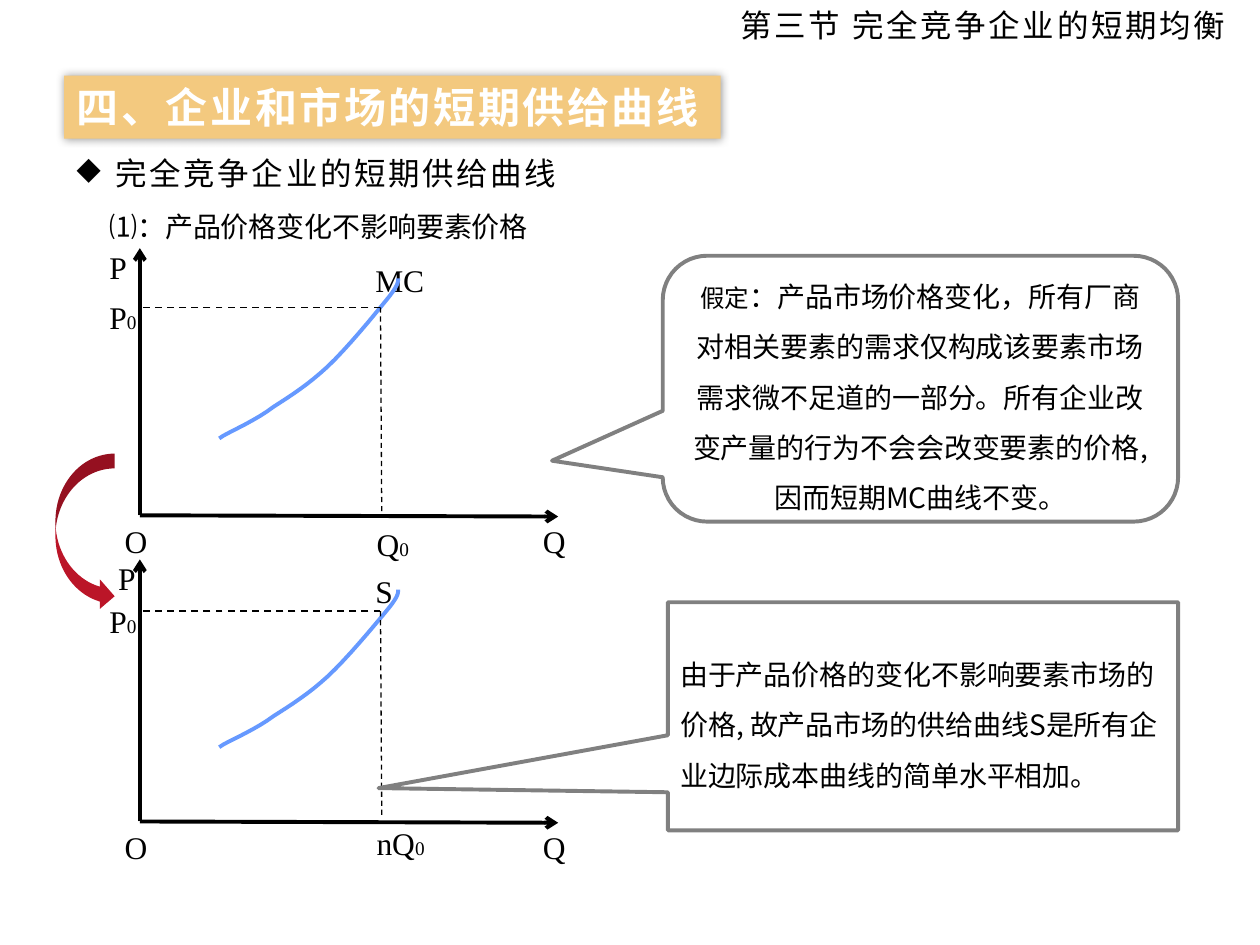
from dataclasses import dataclass

import pptx
from lxml import etree
from pptx.dml.color import RGBColor
from pptx.enum.dml import MSO_LINE
from pptx.enum.shapes import MSO_CONNECTOR, MSO_SHAPE
from pptx.enum.text import MSO_ANCHOR, MSO_AUTO_SIZE, PP_ALIGN
from pptx.oxml.ns import qn
from pptx.util import Inches, Pt

BLACK = RGBColor(0x00, 0x00, 0x00)
WHITE = RGBColor(0xFF, 0xFF, 0xFF)
GOLD = RGBColor(0xF3, 0xC9, 0x7F)
BLUE = RGBColor(0x66, 0x99, 0xFF)
GRAY = RGBColor(0x80, 0x80, 0x80)
RED = RGBColor(0xBB, 0x15, 0x28)
CHINESE = "Noto Sans CJK SC"
LATIN = "Times New Roman"

AXIS_X, AXIS_END, QUANTITY_X = 1.11, 4.43, 3.02
CURVE_HEIGHT = 1.27
# Cubic Bézier points of the supply curve, y measured down from its top end
CURVE = [(1.77, 1.25),
         (1.84, 1.21), (2.04, 1.12), (2.17, 1.02),
         (2.31, 0.93), (2.45, 0.84), (2.60, 0.70),
         (2.75, 0.56), (2.97, 0.29), (3.06, 0.18),
         (3.16, 0.06), (3.16, 0.03), (3.16, 0.00)]
CURVE_STEPS = 8


@dataclass
class Diagram:
    curve_label: str
    quantity_label: str
    quantity_box: tuple[float, float, float, float]
    price_axis_label_x: float
    axis_top: float
    origin_y: float
    price_y: float
    guide_bottom: float
    curve_bottom: float


DIAGRAMS = [
    Diagram("MC", "Q", (2.89, 4.12, 0.48, 0.3), 0.77, 1.97, 4.09, 2.44, 4.11, 3.48),
    Diagram("S", "nQ", (2.89, 6.49, 0.8, 0.4), 0.84, 4.44, 6.52, 4.85, 6.49, 5.93),
]


def style_font(font, size: float, name: str, color: RGBColor = BLACK,
               spacing: float = 0) -> None:
    font.size = Pt(size)
    font.name = name
    font.color.rgb = color
    properties = font._rPr
    etree.SubElement(properties, qn("a:ea")).set("typeface", name)
    if spacing:
        properties.set("spc", str(int(spacing * 100)))


def add_text(slide, box: tuple, text: str, size: float, name: str = CHINESE,
             spacing: float = 0, wrap: bool = True, subscript: str = "",
             bullet: str = "", line_spacing: float = 1.0) -> None:
    shape = slide.shapes.add_textbox(*map(Inches, box))
    frame = shape.text_frame
    frame.word_wrap = wrap
    frame.auto_size = MSO_AUTO_SIZE.SHAPE_TO_FIT_TEXT
    paragraph = frame.paragraphs[0]
    paragraph.line_spacing = line_spacing
    if bullet:
        properties = paragraph._p.get_or_add_pPr()
        properties.set("marL", str(Inches(0.31)))
        properties.set("indent", str(Inches(-0.31)))
        etree.SubElement(properties, qn("a:buChar")).set("char", bullet)
    if subscript:
        for part, part_size in ((text, size), (subscript, 11)):
            run = paragraph.add_run()
            run.text = part
            style_font(run.font, part_size, name)
    else:
        paragraph.add_run().text = text
        style_font(paragraph.font, size, name, spacing=spacing)


def add_line(slide, start: tuple, end: tuple, width: float,
             arrow: bool = False) -> None:
    line = slide.shapes.add_connector(
        MSO_CONNECTOR.STRAIGHT, *map(Inches, (*start, *end)))
    line.line.color.rgb = BLACK
    line.line.width = Pt(width)
    if arrow:
        etree.SubElement(line.line._get_or_add_ln(), qn("a:tailEnd")).set("type", "arrow")
    else:
        line.line.dash_style = MSO_LINE.DASH
    etree.SubElement(line._element.spPr, qn("a:effectLst"))


def curve_points(top: float, bottom: float) -> list[tuple[int, int]]:
    scale = (bottom - top) / CURVE_HEIGHT
    points = [(1.74, CURVE_HEIGHT), CURVE[0]]
    for first in range(0, len(CURVE) - 1, 3):
        controls = CURVE[first:first + 4]
        for step in range(1, CURVE_STEPS + 1):
            t = step / CURVE_STEPS
            weights = ((1 - t) ** 3, 3 * t * (1 - t) ** 2, 3 * t * t * (1 - t), t ** 3)
            points.append(tuple(sum(weight * control[axis] for weight, control
                                    in zip(weights, controls)) for axis in (0, 1)))
    return [(Inches(x), Inches(top + y * scale)) for x, y in points]


def add_curve(slide, top: float, bottom: float) -> None:
    points = curve_points(top, bottom)
    builder = slide.shapes.build_freeform(*points[0])
    builder.add_line_segments(points[1:], close=False)
    shape = builder.convert_to_shape()
    shape.shadow.inherit = False
    shape.fill.background()
    shape.line.color.rgb = BLUE
    shape.line.width = Pt(2.25)


def add_diagram(slide, diagram: Diagram) -> None:
    top, bottom, price = diagram.axis_top, diagram.origin_y, diagram.price_y
    # Axes
    add_line(slide, (AXIS_X, bottom), (AXIS_X, top), 2.25, arrow=True)
    add_line(slide, (AXIS_X, bottom), (AXIS_END, bottom + 0.01), 2.25, arrow=True)
    add_text(slide, (0.89, bottom, 0.39, 0.26), "O", 18, LATIN)
    add_text(slide, (4.21, bottom, 0.39, 0.26), "Q", 18, LATIN)
    add_text(slide, (diagram.price_axis_label_x, top - 0.05, 0.33, 0.26), "P", 18, LATIN)
    # Curve
    add_text(slide, (2.88, top + 0.05, 0.61, 0.26), diagram.curve_label, 18, LATIN)
    add_curve(slide, top + 0.24, diagram.curve_bottom)
    # Price and quantity guides
    add_text(slide, diagram.quantity_box, diagram.quantity_label, 18, LATIN, subscript="0")
    add_line(slide, (QUANTITY_X, price), (QUANTITY_X + 0.01, diagram.guide_bottom), 0.75)
    add_line(slide, (QUANTITY_X, price), (AXIS_X, price), 1)
    add_text(slide, (0.77, price - 0.12, 0.48, 0.3), "P", 18, LATIN, subscript="0")


def add_preset(slide, kind: MSO_SHAPE, box: tuple, adjustments: tuple = ()):
    shape = slide.shapes.add_shape(kind, *map(Inches, box))
    shape.shadow.inherit = False
    for index, value in enumerate(adjustments):
        shape.adjustments[index] = value
    return shape


def add_callout(slide, kind: MSO_SHAPE, box: tuple, adjustments: tuple,
                parts: list[tuple[str, float]], alignment: PP_ALIGN) -> None:
    shape = add_preset(slide, kind, box, adjustments)
    shape.fill.background()
    shape.line.color.rgb = GRAY
    shape.line.width = Pt(2.25)
    frame = shape.text_frame
    frame.word_wrap = True
    frame.vertical_anchor = MSO_ANCHOR.MIDDLE
    paragraph = frame.paragraphs[0]
    paragraph.alignment = alignment
    paragraph.line_spacing = 1.5
    for text, size in parts:
        run = paragraph.add_run()
        run.text = text
        style_font(run.font, size, CHINESE)


def add_heading(slide) -> None:
    shape = add_preset(slide, MSO_SHAPE.RECTANGLE, (0.51, 0.6, 5.21, 0.5))
    shape.fill.solid()
    shape.fill.fore_color.rgb = GOLD
    shape.line.fill.background()
    effects = shape._element.spPr.find(qn("a:effectLst"))
    shadow = etree.SubElement(effects, qn("a:outerShdw"), blurRad=str(Pt(5)), dist="0")
    color = etree.SubElement(shadow, qn("a:srgbClr"), val=str(BLACK))
    etree.SubElement(color, qn("a:alpha"), val="40000")
    frame = shape.text_frame
    frame.word_wrap = False
    frame.auto_size = MSO_AUTO_SIZE.SHAPE_TO_FIT_TEXT
    frame.vertical_anchor = MSO_ANCHOR.TOP
    paragraph = frame.paragraphs[0]
    paragraph.alignment = PP_ALIGN.LEFT
    paragraph.add_run().text = "四、企业和市场的短期供给曲线"
    style_font(paragraph.font, 24, CHINESE, WHITE, spacing=1.5)
    paragraph.font.bold = True


def main() -> None:
    presentation = pptx.Presentation()
    presentation.slide_width, presentation.slide_height = Inches(10), Inches(7.5)
    slide = presentation.slides.add_slide(presentation.slide_layouts[6])
    # Headings
    add_heading(slide)
    add_text(slide, (5.78, 0, 4.22, 0.4), "第三节 完全竞争企业的短期均衡", 18,
             spacing=1.5, wrap=False)
    add_text(slide, (0.51, 1.23, 4.07, 0.34), "完全竞争企业的短期供给曲线", 18,
             spacing=1.5, wrap=False, bullet="◆", line_spacing=0.8)
    # Supply diagrams
    for diagram in DIAGRAMS:
        add_diagram(slide, diagram)
    # Explanations
    add_callout(slide, MSO_SHAPE.ROUNDED_RECTANGULAR_CALLOUT, (5.26, 2.03, 4.09, 2.11),
                (-0.715, 0.271, 0.167),
                [("假定", 14), ("：产品市场价格变化，所有厂商对相关要素的需求仅构成该要素市场"
                                "需求微不足道的一部分。所有企业改变产量的行为不会会改变要素的价格, "
                                "因而短期MC曲线不变。", 16)], PP_ALIGN.CENTER)
    add_callout(slide, MSO_SHAPE.RECTANGULAR_CALLOUT, (5.3, 4.78, 4.05, 1.81),
                (-1.067, 0.315),
                [("由于产品价格的变化不影响要素市场的价格, 故产品市场的供给曲线S是所有"
                  "企业边际成本曲线的简单水平相加。", 16)], PP_ALIGN.LEFT)
    # Link from the firm to the market
    arrow = add_preset(slide, MSO_SHAPE.CURVED_RIGHT_ARROW, (0.44, 3.6, 0.47, 1.25),
                       (0.25, 0.5, 0.25))
    arrow.fill.solid()
    arrow.fill.fore_color.rgb = RED
    arrow.line.fill.background()
    add_text(slide, (0.77, 1.48, 4.3, 0.5), "⑴：产品价格变化不影响要素价格", 16,
             line_spacing=1.5)
    presentation.save("out.pptx")


if __name__ == "__main__":
    main()
